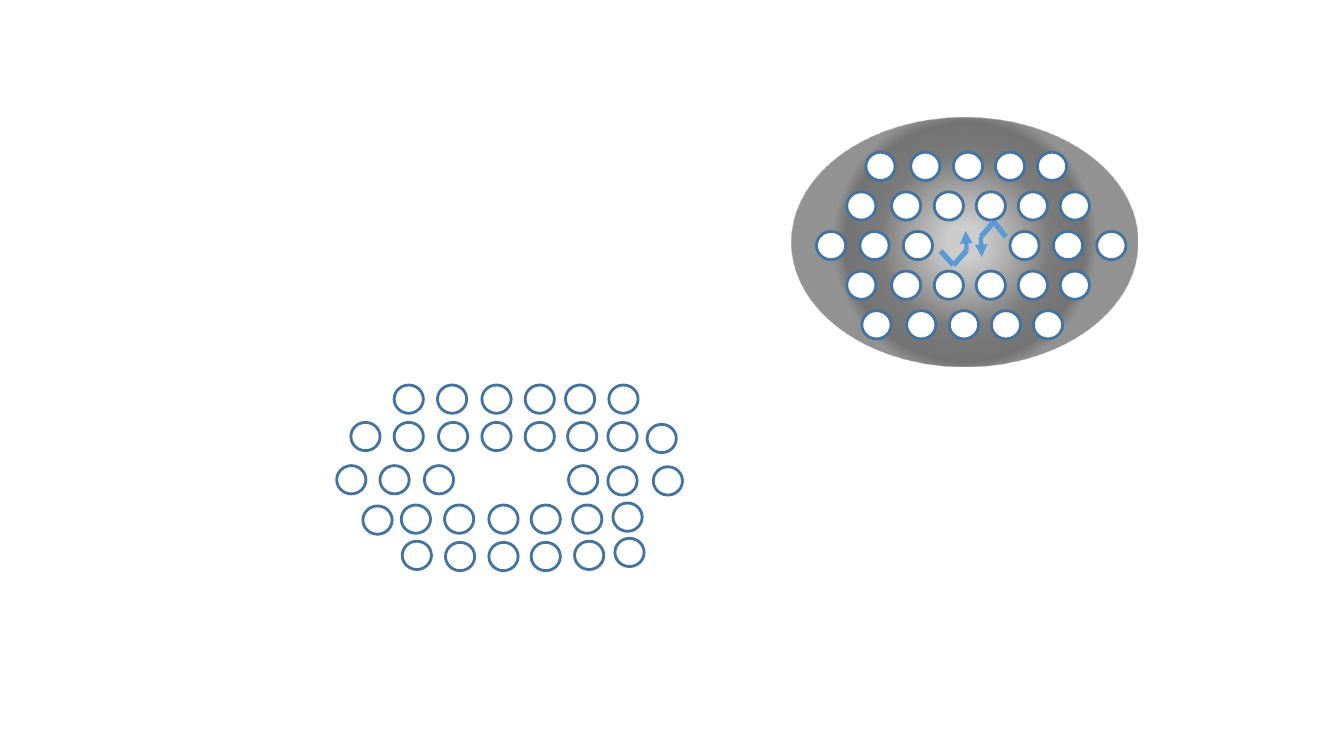
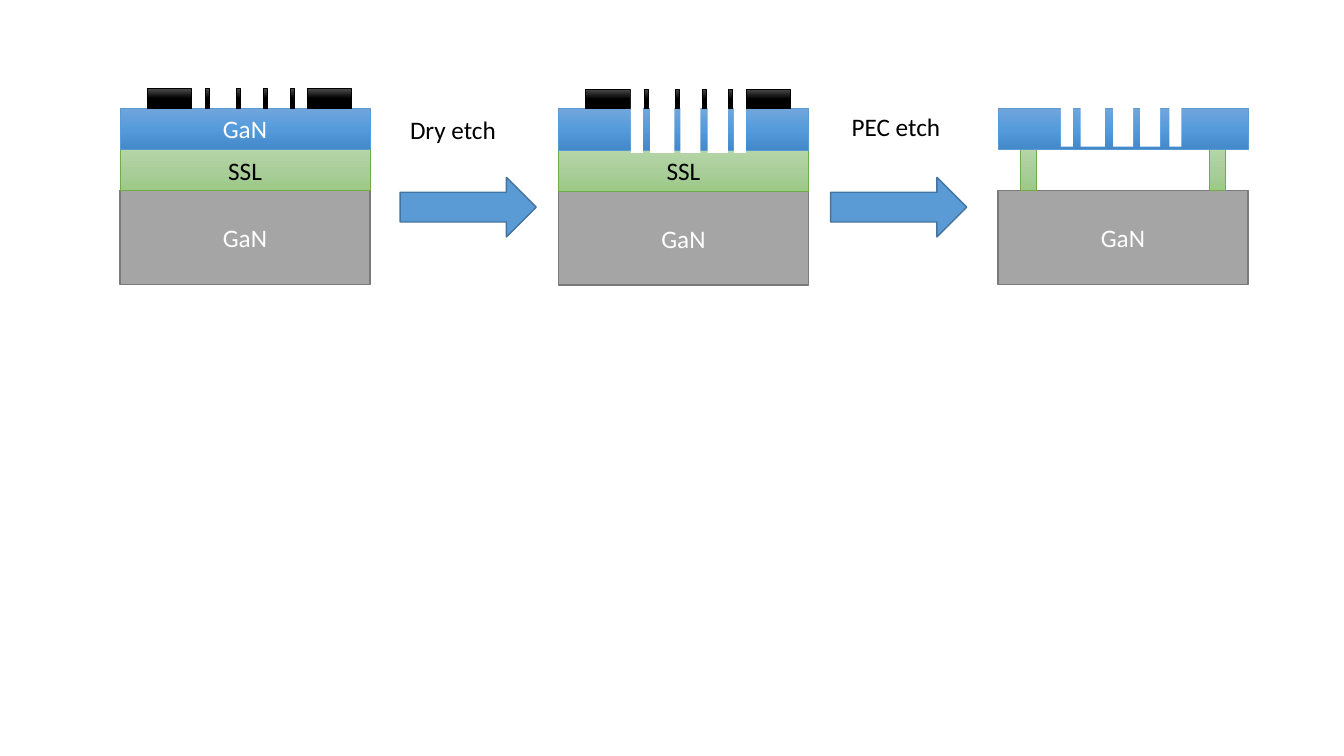
from dataclasses import dataclass
from typing import NamedTuple, Optional, Union

import lxml.etree
import pptx
import pptx.dml.color
import pptx.enum.shapes
import pptx.enum.text
import pptx.oxml.ns
import pptx.shapes.autoshape
import pptx.shapes.shapetree
import pptx.slide
import pptx.util

Pt = pptx.util.Pt
qn = pptx.oxml.ns.qn
MSO_SHAPE = pptx.enum.shapes.MSO_SHAPE
Shape = pptx.shapes.autoshape.Shape
# Slides and groups both offer this kind of shape collection.
Shapes = Union[pptx.shapes.shapetree.SlideShapes, pptx.shapes.shapetree.GroupShapes]


class Stop(NamedTuple):
    pos: int
    color: str
    alpha: int = 100


@dataclass(frozen=True)
class Gradient:
    stops: tuple[Stop, ...]
    radial: bool = False


@dataclass(frozen=True)
class Style:
    fill: Union[str, Gradient]
    line: Optional[str] = None
    width: float = 0.5
    text: str = "FFFFFF"


def vertical(top: str, middle: str, bottom: str) -> Gradient:
    return Gradient((Stop(0, top), Stop(50, middle), Stop(100, bottom)))


@dataclass(frozen=True)
class Theme:
    font: str = "Calibri"
    size: float = 18
    ink: str = "000000"
    accent: str = "5B9BD5"
    hole: Style = Style("FFFFFF", "43739E", 2)
    beam: Style = Style(Gradient((Stop(8, "939393", 46), Stop(40, "7C7C7C"),
                                  Stop(56, "747474"), Stop(62, "939393")), radial=True))
    substrate: Style = Style("A5A5A5", "7A7A7A", 1)
    ssl: Style = Style(vertical("B5D5A7", "AACE9A", "9CC987"), "70AD47", text="000000")
    membrane: Style = Style(vertical("71A6DB", "559BDB", "448ACA"), "5B9BD5")
    mask: Style = Style(vertical("4B4B4B", "000000", "000000"), "000000")
    trench: Style = Style("FFFFFF")
    step: Style = Style("5B9BD5", "43739E", 1)


THEME = Theme()


class Box(NamedTuple):
    left: float
    top: float
    width: float
    height: float


class HoleRow(NamedTuple):
    top: float
    lefts: tuple[float, ...]


class Span(NamedTuple):
    """A horizontal extent, measured from the left side of a stack."""
    offset: float
    width: float


@dataclass(frozen=True)
class Stack:
    left: float
    top: float
    label: str = ""
    masked: bool = True
    pillars: tuple[Span, ...] = ()
    trenches: tuple[Span, ...] = ()
    trench_rise: float = 0
    trench_height: float = 0


class Step(NamedTuple):
    text: str
    label_left: float
    label_top: float
    arrow_left: float


HOLE_W, HOLE_H = 20.9, 20.2
LEFT_LATTICE = (
    HoleRow(275, (281.5, 312.5, 344.2, 375.1, 403.9, 434.9)),
    HoleRow(301.7, (250.6, 281.5, 313.2, 344.2, 375.1, 405.4, 434.2)),
    HoleRow(303.1, (462.2,)),
    HoleRow(332.6, (240.5, 271.4, 303.1, 406.1)),
    HoleRow(333.4, (434.2, 466.6)),
    HoleRow(360.7, (286.6, 317.5, 349.2, 379.4, 409)),
    HoleRow(359.3, (437.8,)),
    HoleRow(361.4, (259.2,)),
    HoleRow(386.6, (287.3, 410.4)),
    HoleRow(387.4, (318.2, 349.2, 379.4)),
    HoleRow(384.5, (439.2,)),
)


def right_lattice() -> tuple[HoleRow, ...]:
    """Five evenly spaced rows, the middle one open at its centre."""
    steps = (0, 32, 62.5, 92.5, 122.5, 152.5)
    middle = tuple(start + 31 * i for start in (583.2, 721.4) for i in range(3))
    rows = (
        tuple(618.5 + dx for dx in steps[:5]),
        tuple(604.8 + dx for dx in steps),
        middle,
        tuple(604.8 + dx for dx in steps),
        tuple(615.6 + dx for dx in steps[:5]),
    )
    return tuple(HoleRow(108.7 + 28.3 * i, lefts) for i, lefts in enumerate(rows))


BENT_ARROWS = (
    ((671.8, 179.3), (681.1, 189.4), (690.5, 178.9), (689.8, 164.9)),
    ((718.6, 169.2), (709.9, 158.4), (700.6, 169.2), (701.3, 183.6)),
)

STACK_W, LAYER_H, SUBSTRATE_H, MASK_H = 178.6, 29.5, 67, 13.7
MASKS = (Span(19.4, 31.7), Span(133.9, 31.7), Span(61.2, 2.9),
         Span(83.3, 2.9), Span(121.7, 2.9), Span(102.7, 2.9))
TRENCH_WIDTHS = (8.6, 17.3, 14.4, 14.4, 8.6)


def trenches(*offsets: float) -> tuple[Span, ...]:
    return tuple(Span(x, w) for x, w in zip(offsets, TRENCH_WIDTHS))


FULL_WIDTH = (Span(0, STACK_W),)
STACKS = (
    Stack(85.7, 77.1, label="GaN", pillars=FULL_WIDTH),
    Stack(398.9, 77.6, pillars=FULL_WIDTH,
          trenches=trenches(51.8, 65.5, 87.1, 106.6, 125.3),
          trench_rise=MASK_H, trench_height=45.4),
    Stack(712.8, 77.1, masked=False, pillars=(Span(15.8, 11.5), Span(151.2, 11.5)),
          trenches=trenches(44.9, 59.2, 82.3, 101.6, 122.4),
          trench_rise=0.5, trench_height=28.1),
)
STEPS = (Step("Dry etch", 285.8, 77.8, 285.8), Step("PEC etch", 601.2, 76.3, 593.3))


def rgb(color: str) -> pptx.dml.color.RGBColor:
    return pptx.dml.color.RGBColor.from_string(color)


def set_gradient(sp: Shape, gradient: Gradient) -> None:
    sp.fill.gradient()
    grad = sp._element.spPr.find(qn("a:gradFill"))
    for child in list(grad):
        grad.remove(child)
    sub = lxml.etree.SubElement
    stops = sub(grad, qn("a:gsLst"))
    for stop in gradient.stops:
        gs = sub(stops, qn("a:gs"), pos=str(stop.pos * 1000))
        color = sub(gs, qn("a:srgbClr"), val=stop.color)
        if stop.alpha < 100:
            sub(color, qn("a:alpha"), val=str(stop.alpha * 1000))
    if gradient.radial:
        circle = sub(grad, qn("a:path"), path="circle")
        sub(circle, qn("a:fillToRect"), l="50000", t="50000", r="50000", b="50000")
    else:
        sub(grad, qn("a:lin"), ang="5400000", scaled="0")


def add_run(p, text: str, color: str) -> None:
    r = p.add_run()
    r.text = text
    r.font.name = THEME.font
    r.font.size = Pt(THEME.size)
    r.font.color.rgb = rgb(color)


def draw_shape(shapes: Shapes, kind: MSO_SHAPE, box: Box, style: Style,
               text: str = "") -> None:
    sp = shapes.add_shape(kind, *(Pt(v) for v in box))
    sp.shadow.inherit = False
    if isinstance(style.fill, Gradient):
        set_gradient(sp, style.fill)
    else:
        sp.fill.solid()
        sp.fill.fore_color.rgb = rgb(style.fill)
    if style.line:
        sp.line.color.rgb = rgb(style.line)
        sp.line.width = Pt(style.width)
    else:
        sp.line.fill.background()
    if text:
        tf = sp.text_frame
        tf.vertical_anchor = pptx.enum.text.MSO_ANCHOR.MIDDLE
        p = tf.paragraphs[0]
        p.alignment = pptx.enum.text.PP_ALIGN.CENTER
        add_run(p, text, style.text)


def draw_bent_arrow(shapes: Shapes, points: tuple[tuple[float, float], ...]) -> None:
    """Join the points with straight lines; the last one carries the arrowhead."""
    for i, (start, end) in enumerate(zip(points, points[1:])):
        is_last = i == len(points) - 2
        cn = shapes.add_connector(pptx.enum.shapes.MSO_CONNECTOR.STRAIGHT,
                                  *(Pt(v) for v in start + end))
        cn.line.color.rgb = rgb(THEME.accent)
        cn.line.width = Pt(3 if is_last else 3.75)
        spPr = cn._element.spPr
        if is_last:
            lxml.etree.SubElement(spPr.find(qn("a:ln")), qn("a:tailEnd"), type="triangle")
        lxml.etree.SubElement(spPr, qn("a:effectLst"))


def draw_stack(shapes: Shapes, stack: Stack) -> None:
    def bars(spans: tuple[Span, ...], top: float, height: float, style: Style,
             text: str = "") -> None:
        for span in spans:
            box = Box(stack.left + span.offset, top, span.width, height)
            draw_shape(shapes, MSO_SHAPE.RECTANGLE, box, style, text)

    ssl_top = stack.top + LAYER_H
    ssl_text = "SSL" if stack.pillars == FULL_WIDTH else ""
    bars(FULL_WIDTH, ssl_top + LAYER_H, SUBSTRATE_H, THEME.substrate, "GaN")
    bars(stack.pillars, ssl_top, LAYER_H, THEME.ssl, ssl_text)
    bars(FULL_WIDTH, stack.top, LAYER_H, THEME.membrane, stack.label)
    if stack.masked:
        bars(MASKS, stack.top - MASK_H, MASK_H, THEME.mask)
    bars(stack.trenches, stack.top - stack.trench_rise, stack.trench_height, THEME.trench)


def draw_step(shapes: Shapes, step: Step) -> None:
    draw_shape(shapes, MSO_SHAPE.RIGHT_ARROW, Box(step.arrow_left, 126.7, 97.2, 42.5),
               THEME.step)
    tb = shapes.add_textbox(Pt(step.label_left), Pt(step.label_top), Pt(85), Pt(29))
    tf = tb.text_frame
    tf.word_wrap = True
    tf.auto_size = pptx.enum.text.MSO_AUTO_SIZE.SHAPE_TO_FIT_TEXT
    add_run(tf.paragraphs[0], step.text, THEME.ink)


def build_lattices(s: pptx.slide.Slide) -> None:
    draw_shape(s.shapes, MSO_SHAPE.OVAL, Box(565.2, 84.2, 247, 177.8), THEME.beam)
    for row in LEFT_LATTICE + right_lattice():
        for left in row.lefts:
            draw_shape(s.shapes, MSO_SHAPE.OVAL, Box(left, row.top, HOLE_W, HOLE_H),
                       THEME.hole)
    for points in BENT_ARROWS:
        draw_bent_arrow(s.shapes.add_group_shape().shapes, points)


def build_etching(s: pptx.slide.Slide) -> None:
    for stack in STACKS:
        draw_stack(s.shapes.add_group_shape().shapes, stack)
    for step in STEPS:
        draw_step(s.shapes, step)


def main() -> None:
    prs = pptx.Presentation()
    prs.slide_width, prs.slide_height = Pt(960), Pt(540)
    blank = prs.slide_layouts[6]
    for build in (build_lattices, build_etching):
        build(prs.slides.add_slide(blank))
    prs.save("out.pptx")


if __name__ == "__main__":
    main()
